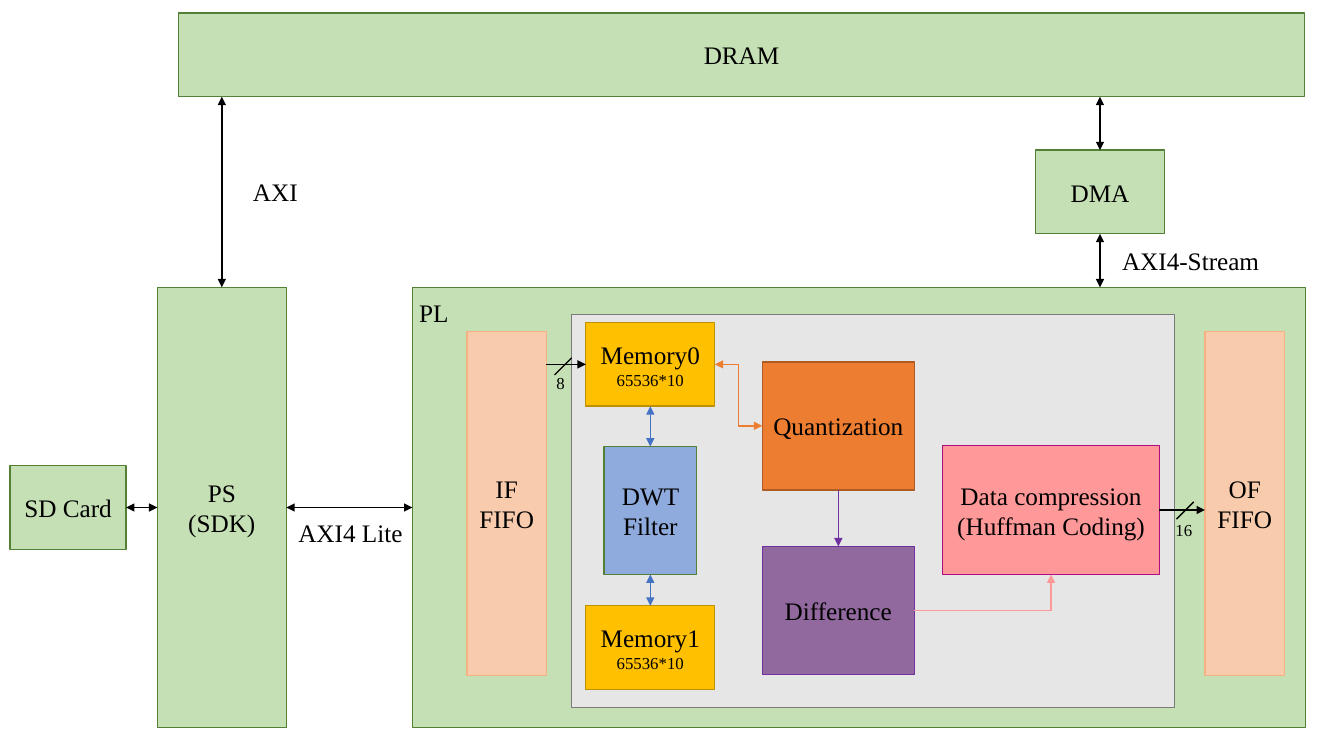
from lxml import etree
from pptx import Presentation
from pptx.dml.color import RGBColor
from pptx.enum.shapes import MSO_CONNECTOR, MSO_SHAPE
from pptx.enum.text import MSO_ANCHOR, MSO_AUTO_SIZE, PP_ALIGN
from pptx.oxml.ns import qn
from pptx.util import Inches, Pt

RECT = MSO_SHAPE.RECTANGLE
STRAIGHT, ELBOW = MSO_CONNECTOR.STRAIGHT, MSO_CONNECTOR.ELBOW
CENTER, MIDDLE = PP_ALIGN.CENTER, MSO_ANCHOR.MIDDLE
NO_FIT = MSO_AUTO_SIZE.NONE


class Theme:
    font, body, small = "Times New Roman", 18, 12
    ink, line = "000000", 1
    # Fill and outline of each kind of block
    blocks = {
        "system": ("C5E0B4", "538035"),
        "fifo": ("F8CBAD", "F4B183"),
        "core": ("E7E6E6", "7A7A7A"),
        "memory": ("FFC000", "BF9000"),
        "filter": ("8FAADC", "538035"),
        "quantize": ("ED7D31", "AF5C24"),
        "difference": ("92699F", "7030A0"),
        "compress": ("FF9999", "B50B80"),
    }
    data, quantize, difference, compress = "4472C4", "ED7D31", "7030A0", "FF9999"


# Shared columns, rows and sizes of the grid, in inches
SLIDE_W, SLIDE_H = 13.33, 7.5
UNIT_W, UNIT_H, STAGE_H = 1.28, 0.83, 1.27
MAIN_Y, MAIN_H = 2.85, 4.37
FIFO_Y, FIFO_W, FIFO_H = 3.29, 0.79, 3.41
MEMORY_X, STAGE_X, STAGE_W = 5.81, 7.56, 1.51
MEMORY_SIZE = "65536*10"

# name: (kind, left, top, width, height, lines of text), back to front
BLOCKS = {
    "sd": ("system", 0.1, 4.62, 1.15, UNIT_H, ["SD Card"]),
    "ps": ("system", 1.56, MAIN_Y, UNIT_W, MAIN_H, ["PS", "(SDK)"]),
    "dram": ("system", 1.77, 0.13, 11.17, UNIT_H, ["DRAM"]),
    "pl": ("system", 4.09, MAIN_Y, 8.86, MAIN_H, []),
    "if": ("fifo", 4.63, FIFO_Y, FIFO_W, FIFO_H, ["IF", "FIFO"]),
    "of": ("fifo", 11.95, FIFO_Y, FIFO_W, FIFO_H, ["OF", "FIFO"]),
    "dma": ("system", 10.27, 1.49, UNIT_W, UNIT_H, ["DMA"]),
    "core": ("core", 5.67, 3.12, 5.98, 3.9, []),
    "memory1": ("memory", MEMORY_X, 6.01, UNIT_W, UNIT_H, ["Memory1", MEMORY_SIZE]),
    "dwt": ("filter", 5.99, 4.43, 0.92, STAGE_H, ["DWT Filter"]),
    "memory0": ("memory", MEMORY_X, 3.2, UNIT_W, UNIT_H, ["Memory0", MEMORY_SIZE]),
    "quantize": ("quantize", STAGE_X, 3.59, STAGE_W, STAGE_H, ["Quantization"]),
    "difference": ("difference", STAGE_X, 5.42, STAGE_W, STAGE_H, ["Difference"]),
    "compress": ("compress", 9.35, 4.42, 2.15, 1.28,
                 ["Data compression", "(Huffman Coding)"]),
}

# (from block, side, to block, side, geometry, colour, arrowheads)
BOTH, START, END = ("headEnd", "tailEnd"), ("headEnd",), ("tailEnd",)
LINKS = [
    ("sd", "right", "ps", "left", "line", Theme.ink, BOTH),
    ("ps", "top", "dram", "bottom", "line", Theme.ink, BOTH),
    ("dma", "top", "dram", "bottom", "line", Theme.ink, BOTH),
    ("dma", "bottom", "pl", "top", "line", Theme.ink, BOTH),
    ("ps", "right", "pl", "left", "line", Theme.ink, BOTH),
    ("memory0", "left", "if", "right", "line", Theme.ink, START),
    ("compress", "right", "of", "left", "line", Theme.ink, END),
    ("memory0", "bottom", "dwt", "top", "line", Theme.data, BOTH),
    ("dwt", "bottom", "memory1", "top", "line", Theme.data, BOTH),
    ("memory0", "right", "quantize", "left", "bentConnector3", Theme.quantize, BOTH),
    ("quantize", "bottom", "difference", "top", "line", Theme.difference, END),
    ("difference", "right", "compress", "bottom", "bentConnector2", Theme.compress, END),
]

# (text, left, top, width, height, type size)
LABELS = [
    ("AXI4-Stream", 11.03, 2.38, 1.58, 0.4, Theme.body),
    ("AXI", 2.41, 1.7, 0.65, 0.4, Theme.body),
    ("PL", 4.06, 2.9, 0.5, 0.4, Theme.body),
    ("AXI4 Lite", 2.86, 5.08, 1.25, 0.4, Theme.body),
    ("8", 5.42, 3.65, 0.29, 0.3, Theme.small),
    ("16", 11.56, 5.11, 0.37, 0.3, Theme.small),
]

# Left and top of the strokes that mark a bus width
BUS_MARKS = [(5.5, 3.55), (11.67, 4.98)]
MARK = 0.17

SIDES = {"left": (0, 0.5), "right": (1, 0.5), "top": (0.5, 0), "bottom": (0.5, 1)}


def rgb(color):
    return RGBColor.from_string(color)


def write(tf, lines, sizes):
    tf.text = "\n".join(lines)
    for p, size in zip(tf.paragraphs, sizes):
        for r in p.runs:
            r.font.name, r.font.size = Theme.font, Pt(size)
            r.font.color.rgb = rgb(Theme.ink)


def add_block(s, kind, x, y, w, h, lines):
    sp = s.shapes.add_shape(RECT, Inches(x), Inches(y), Inches(w), Inches(h))
    fill, outline = Theme.blocks[kind]
    sp.shadow.inherit = False
    sp.fill.solid()
    sp.fill.fore_color.rgb = rgb(fill)
    sp.line.color.rgb = rgb(outline)
    sp.line.width = Pt(Theme.line)
    if lines:
        tf = sp.text_frame
        tf.word_wrap, tf.vertical_anchor = True, MIDDLE
        tf.margin_left = tf.margin_right = Inches(0.05)
        write(tf, lines, [Theme.small if t == MEMORY_SIZE else Theme.body for t in lines])
        for p in tf.paragraphs:
            p.alignment = CENTER


def add_line(s, start, end, geometry="line", color=Theme.ink, heads=()):
    kind = STRAIGHT if geometry == "line" else ELBOW
    cxn = s.shapes.add_connector(kind, *(Inches(v) for v in (*start, *end)))
    cxn.line.color.rgb = rgb(color)
    cxn.line.width = Pt(Theme.line)
    spPr = cxn._element.spPr
    spPr.find(qn("a:prstGeom")).set("prst", geometry)
    for head in heads:
        etree.SubElement(spPr.find(qn("a:ln")), qn("a:" + head), type="triangle")
    etree.SubElement(spPr, qn("a:effectLst"))


def anchor(name, side):
    x, y, w, h = BLOCKS[name][1:5]
    fx, fy = SIDES[side]
    return x + fx * w, y + fy * h


def add_link(s, a, side_a, b, side_b, geometry, color, heads):
    start, end = anchor(a, side_a), anchor(b, side_b)
    # A straight link stays level or upright with its first block
    if geometry == "line":
        level = side_a in ("left", "right")
        end = (end[0], start[1]) if level else (start[0], end[1])
    add_line(s, start, end, geometry, color, heads)


def add_label(s, text, x, y, w, h, size):
    tf = s.shapes.add_textbox(Inches(x), Inches(y), Inches(w), Inches(h)).text_frame
    tf.word_wrap, tf.auto_size = False, NO_FIT
    write(tf, [text], [size])


def main():
    prs = Presentation()
    prs.slide_width, prs.slide_height = Inches(SLIDE_W), Inches(SLIDE_H)
    s = prs.slides.add_slide(prs.slide_layouts[6])
    for block in BLOCKS.values():
        add_block(s, *block)
    for link in LINKS:
        add_link(s, *link)
    for x, y in BUS_MARKS:
        add_line(s, (x + MARK, y), (x, y + MARK))
    for label in LABELS:
        add_label(s, *label)
    prs.save("out.pptx")


if __name__ == "__main__":
    main()
